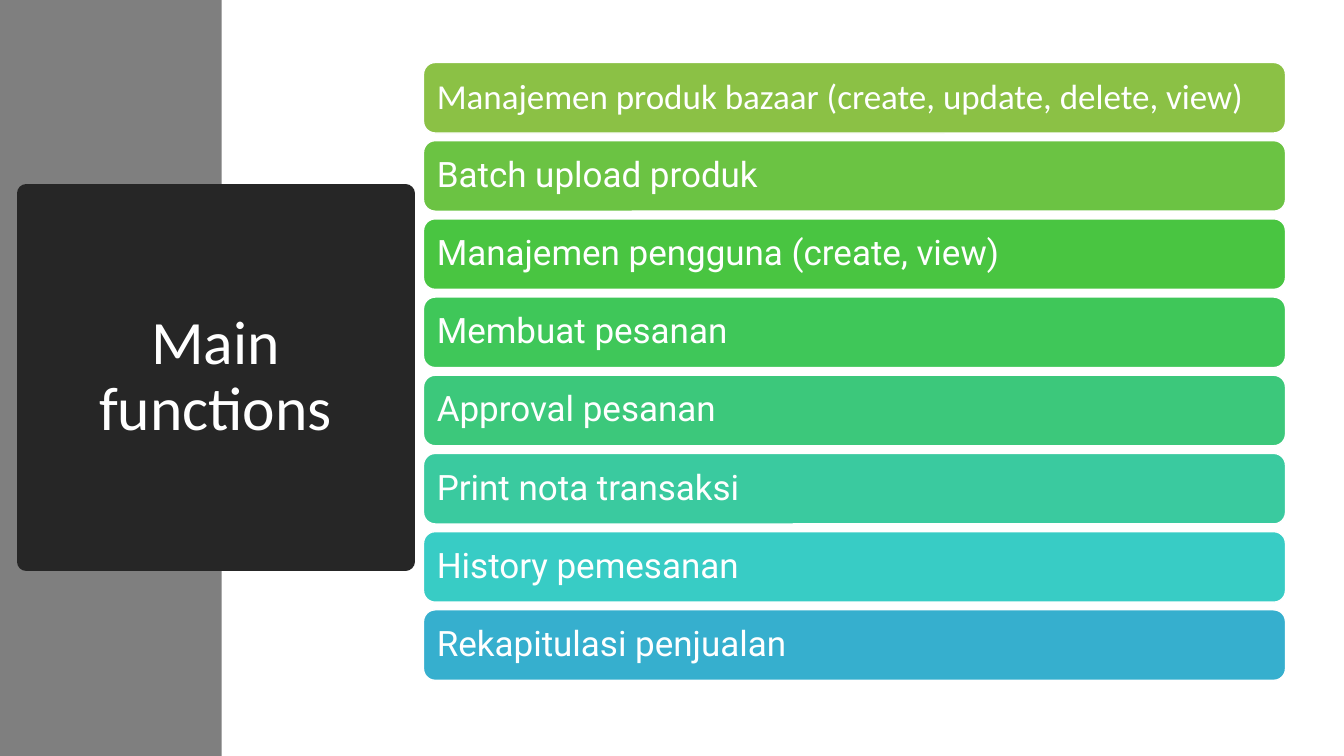
from lxml.etree import SubElement
from pptx import Presentation
from pptx.dml.color import RGBColor
from pptx.enum.shapes import MSO_SHAPE
from pptx.enum.text import MSO_ANCHOR, PP_ALIGN
from pptx.oxml.ns import qn
from pptx.util import Inches, Pt

TITLE = "Main\vfunctions"
FUNCTIONS = [
    ("Manajemen produk bazaar (create, update, delete, view)", "8BC145", "Calibri"),
    ("Batch upload produk", "6BC343", "Roboto"),
    ("Manajemen pengguna (create, view)", "49C541", "Roboto"),
    ("Membuat pesanan", "3FC759", "Roboto"),
    ("Approval pesanan", "3CC87B", "Roboto"),
    ("Print nota transaksi", "3ACA9F", "Roboto"),
    ("History pemesanan", "38CCC5", "Roboto"),
    ("Rekapitulasi penjualan", "36AFCE", "Roboto"),
]
WHITE, DARK, GRAY = "FFFFFF", "262626", "7F7F7F"
FIRST_TOP, LAST_TOP = 0.62, 6.05
BAR_LEFT, BAR_WIDTH, BAR_HEIGHT = 4.2, 8.55, 0.7


def color(hex_string):
    return RGBColor.from_string(hex_string)


def paint(shape, fill, line=None, line_width=1):
    shape.fill.solid()
    shape.fill.fore_color.rgb = color(fill)
    if line:
        shape.line.color.rgb = color(line)
        shape.line.width = Pt(line_width)
    else:
        shape.line.fill.background()


def write(shape, text, font_name, size, alignment):
    frame = shape.text_frame
    frame.text = text
    frame.word_wrap = True
    frame.vertical_anchor = MSO_ANCHOR.MIDDLE
    paragraph = frame.paragraphs[0]
    paragraph.alignment = alignment
    paragraph.line_spacing = 0.9
    for run in paragraph.runs:
        run.font.name = font_name
        run.font.size = Pt(size)
        run.font.color.rgb = color(WHITE)


def add_box(slide, kind, left, top, width, height):
    shape = slide.shapes.add_shape(
        kind, Inches(left), Inches(top), Inches(width), Inches(height))
    shape.shadow.inherit = False
    return shape


presentation = Presentation()
presentation.slide_width = Inches(13.33)
presentation.slide_height = Inches(7.5)
slide = presentation.slides.add_slide(presentation.slide_layouts[5])

side_band = add_box(slide, MSO_SHAPE.RECTANGLE, 0, 0, 2.2, 7.5)
paint(side_band, GRAY)
slide.shapes._spTree.insert(2, side_band._element)

title = slide.shapes.title
title.left, title.top = Inches(0.26), Inches(1.92)
title.width, title.height = Inches(3.76), Inches(3.65)
paint(title, DARK, DARK, 13.75)
SubElement(title.line._get_or_add_ln(), qn("a:round"))
write(title, TITLE, "Calibri", 44, PP_ALIGN.CENTER)

pitch = (LAST_TOP - FIRST_TOP) / (len(FUNCTIONS) - 1)
for index, (label, fill, font_name) in enumerate(FUNCTIONS):
    bar = add_box(slide, MSO_SHAPE.ROUNDED_RECTANGLE,
                  BAR_LEFT, FIRST_TOP + index * pitch, BAR_WIDTH, BAR_HEIGHT)
    paint(bar, fill, WHITE)
    write(bar, label, font_name, 25, PP_ALIGN.LEFT)

presentation.save("out.pptx")
